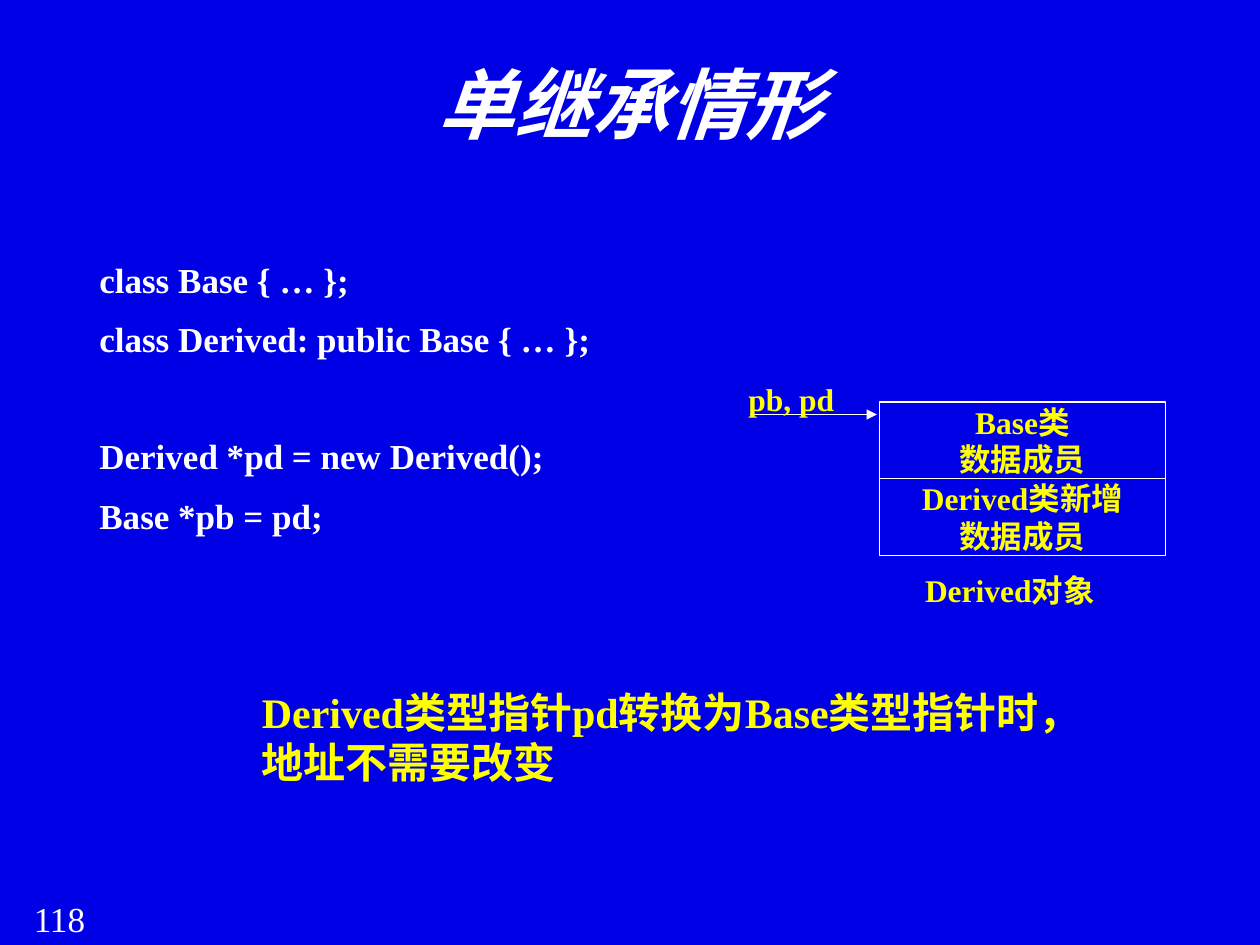
from dataclasses import dataclass

from lxml.etree import SubElement
from pptx import Presentation
from pptx.dml.color import RGBColor
from pptx.enum.shapes import MSO_CONNECTOR, MSO_SHAPE
from pptx.enum.text import MSO_ANCHOR, PP_ALIGN
from pptx.oxml.ns import qn
from pptx.util import Inches, Pt


@dataclass(frozen=True)
class Theme:
    font: str = "Times New Roman"
    background: RGBColor = RGBColor(0x00, 0x00, 0xE7)
    white: RGBColor = RGBColor(0xFF, 0xFF, 0xFF)
    yellow: RGBColor = RGBColor(0xFF, 0xFF, 0x00)
    title: int = 44
    note: int = 24
    body: int = 20
    label: int = 18
    line: float = 0.75


THEME = Theme()


def write(sp, lines, size, color, align=PP_ALIGN.LEFT, bold=True, italic=False,
          inset=None, anchor=MSO_ANCHOR.TOP):
    tf = sp.text_frame
    tf.word_wrap = True
    tf.vertical_anchor = anchor
    if inset is not None:
        tf.margin_left = tf.margin_top = Inches(inset)
        tf.margin_right = tf.margin_bottom = Inches(inset)
    for i, line in enumerate(lines):
        p = tf.paragraphs[0] if i == 0 else tf.add_paragraph()
        p.text = line
        p.alignment = align
        p.font.name = THEME.font
        p.font.size = Pt(size)
        p.font.bold = bold
        p.font.italic = italic
        p.font.color.rgb = color


def add_text(s, box, lines, size, color, **style):
    sp = s.shapes.add_textbox(*map(Inches, box))
    write(sp, lines, size, color, **style)
    return sp


def add_code(s, box, blocks):
    lines = [line for block in blocks for line in block]
    sp = add_text(s, box, lines, THEME.body, THEME.white)
    starts = {block[0] for block in blocks}
    for i, p in enumerate(sp.text_frame.paragraphs):
        p.space_after = Pt(5.5)
        if i:
            p.space_before = Pt(37.5 if p.text in starts else 4.5)


def add_member_box(s, box, lines):
    sp = s.shapes.add_shape(MSO_SHAPE.RECTANGLE, *map(Inches, box))
    sp.shadow.inherit = False
    sp.fill.background()
    sp.line.color.rgb = THEME.white
    sp.line.width = Pt(THEME.line)
    write(sp, lines, THEME.label, THEME.yellow, align=PP_ALIGN.CENTER,
          inset=0, anchor=MSO_ANCHOR.MIDDLE)


def add_arrow(s, x1, y1, x2, y2):
    c = s.shapes.add_connector(MSO_CONNECTOR.STRAIGHT, *map(Inches, (x1, y1, x2, y2)))
    c.line.color.rgb = THEME.white
    c.line.width = Pt(THEME.line)
    SubElement(c.line._get_or_add_ln(), qn("a:tailEnd"), type="triangle")
    SubElement(c._element.spPr, qn("a:effectLst"))


def add_object_diagram(s):
    left, top, width, height = 6.98, 3.19, 2.27, 0.61
    for i, owner in enumerate(["Base类", "Derived类新增"]):
        add_member_box(s, (left, top + i * height, width, height), [owner, "数据成员"])
    add_arrow(s, 5.95, 3.29, 6.96, 3.29)
    add_text(s, (5.94, 3.02, 0.77, 0.36), ["pb, pd"], THEME.label, THEME.yellow,
             align=PP_ALIGN.JUSTIFY, inset=0)
    add_text(s, (7.31, 4.53, 1.41, 0.32), ["Derived对象"], THEME.label, THEME.yellow,
             align=PP_ALIGN.CENTER, inset=0)


def main():
    prs = Presentation()
    prs.slide_width, prs.slide_height = Inches(10), Inches(7.5)
    s = prs.slides.add_slide(prs.slide_layouts[6])
    s.background.fill.solid()
    s.background.fill.fore_color.rgb = THEME.background

    add_text(s, (0.17, 7.07, 0.83, 0.43), ["118"], THEME.body, THEME.white, bold=False,
             align=PP_ALIGN.LEFT)
    add_text(s, (0.69, 0.4, 8.62, 1.45), ["单继承情形"], THEME.title, THEME.white,
             align=PP_ALIGN.CENTER, italic=True)
    add_code(s, (0.69, 2, 8.62, 4.76), [
        ["class Base { … };", "class Derived: public Base { … };"],
        ["Derived *pd = new Derived();", "Base *pb = pd;"],
    ])
    add_object_diagram(s)
    add_text(s, (1.98, 5.4, 6.75, 0.93),
             ["Derived类型指针pd转换为Base类型指针时，地址不需要改变"],
             THEME.note, THEME.yellow)
    prs.save("out.pptx")


if __name__ == "__main__":
    main()
